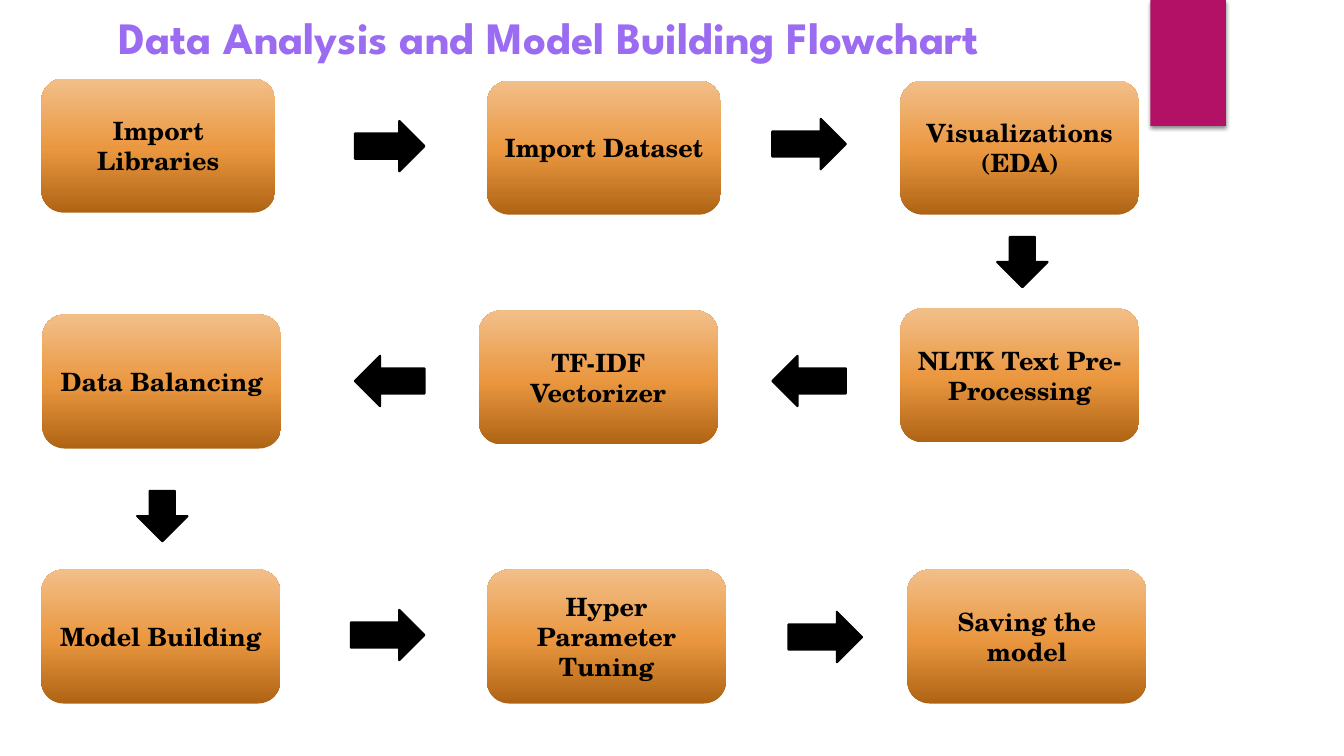
import pptx
import pptx.util
import pptx.dml.color
import pptx.enum.shapes
import pptx.enum.text
import pptx.oxml
import pptx.oxml.ns
import lxml.etree

Inches = pptx.util.Inches
Pt = pptx.util.Pt
RGBColor = pptx.dml.color.RGBColor
Shape = pptx.enum.shapes.MSO_SHAPE
Anchor = pptx.enum.text.MSO_ANCHOR
CENTER = pptx.enum.text.PP_ALIGN.CENTER
qn = pptx.oxml.ns.qn

# Content
TITLE = "Data Analysis and Model Building Flowchart"
WIDE, NARROW = 2.37, 2.32
# Step paragraphs, column, row, shift from the grid (x, y), width
STEPS = [
    (["Import Libraries"], 0, 0, (0, -0.02), NARROW),
    (["Import Dataset"], 1, 0, (0, 0), NARROW),
    (["Visualizations", "(EDA)"], 2, 0, (0, 0), WIDE),
    (["NLTK Text Pre-Processing"], 2, 1, (0, -0.02), WIDE),
    (["TF-IDF Vectorizer"], 1, 1, (-0.08, 0), WIDE),
    (["Data Balancing"], 0, 1, (0.01, 0.04), WIDE),
    (["Model Building"], 0, 2, (0, 0), WIDE),
    (["Hyper Parameter Tuning"], 1, 2, (0, 0), WIDE),
    (["Saving the model"], 2, 2, (0.07, 0), WIDE),
]
# Arrow shape, left, top, length across
ARROWS = [
    (Shape.RIGHT_ARROW, 3.52, 1.2, 0.69),
    (Shape.RIGHT_ARROW, 7.66, 1.18, 0.73),
    (Shape.DOWN_ARROW, 9.89, 2.35, 0.5),
    (Shape.LEFT_ARROW, 7.66, 3.53, 0.73),
    (Shape.LEFT_ARROW, 3.52, 3.53, 0.69),
    (Shape.DOWN_ARROW, 1.36, 4.87, 0.5),
    (Shape.RIGHT_ARROW, 3.48, 6.05, 0.73),
    (Shape.RIGHT_ARROW, 7.82, 6.07, 0.73),
]

# Grid and style
COLUMN_LEFTS = (0.41, 4.83, 8.93)
ROW_TOPS = (0.8, 3.08, 5.65)
STEP_HEIGHT = 1.33
ARROW_HEIGHT = 0.5
BLACK = RGBColor(0x00, 0x00, 0x00)
MAGENTA = RGBColor(0xB3, 0x11, 0x66)
ORANGES = [(0, RGBColor(0xAF, 0x64, 0x14)), (48, RGBColor(0xEA, 0x97, 0x40)),
           (100, RGBColor(0xF2, 0xBF, 0x89))]
PURPLES = [(0, RGBColor(0x42, 0x0E, 0xA0)), (50, RGBColor(0x9B, 0x6B, 0xF2)),
           (100, RGBColor(0xC3, 0xA6, 0xF7))]
UPWARD, DOWNWARD = 90, 270
SHADOW = (
    f'<a:outerShdw {pptx.oxml.ns.nsdecls("a")} blurRad="{Pt(3)}" dist="{Pt(2)}" '
    'dir="5400000" rotWithShape="0"><a:srgbClr val="000000">'
    '<a:alpha val="45000"/></a:srgbClr></a:outerShdw>'
)


def apply_gradient(fill, element, stops, angle):
    fill.gradient()
    fill.gradient_angle = angle
    stop_list = element.find(".//" + qn("a:gsLst"))
    for stop in list(stop_list):
        stop_list.remove(stop)
    for percent, color in stops:
        stop = lxml.etree.SubElement(stop_list, qn("a:gs"), pos=str(percent * 1000))
        lxml.etree.SubElement(stop, qn("a:srgbClr"), val=str(color))


def add_shape(slide, kind, left, top, width, height):
    shape = slide.shapes.add_shape(
        kind, Inches(left), Inches(top), Inches(width), Inches(height))
    shape.shadow.inherit = False
    shape.line.fill.background()
    return shape


def add_ribbon(slide):
    ribbon = add_shape(slide, Shape.RECTANGLE, 11.41, 0, 0.75, 1.25)
    ribbon.fill.solid()
    ribbon.fill.fore_color.rgb = MAGENTA
    effects = ribbon._element.spPr.find(qn("a:effectLst"))
    effects.append(pptx.oxml.parse_xml(SHADOW))


def add_title(slide):
    box = slide.shapes.add_textbox(Inches(0), Inches(0.05), Inches(10.9), Inches(0.94))
    frame = box.text_frame
    frame.word_wrap = True
    frame.auto_size = pptx.enum.text.MSO_AUTO_SIZE.SHAPE_TO_FIT_TEXT
    paragraph = frame.paragraphs[0]
    paragraph.alignment = CENTER
    run = paragraph.add_run()
    run.text = TITLE
    run.font.name = "League Spartan"
    run.font.size = Pt(32)
    run.font.bold = True
    apply_gradient(run.font.fill, box._element, PURPLES, DOWNWARD)


def add_step(slide, lines, column, row, shift, width):
    step = add_shape(slide, Shape.FLOWCHART_ALTERNATE_PROCESS,
                     COLUMN_LEFTS[column] + shift[0], ROW_TOPS[row] + shift[1],
                     width, STEP_HEIGHT)
    apply_gradient(step.fill, step._element, ORANGES, UPWARD)
    frame = step.text_frame
    frame.word_wrap = True
    frame.vertical_anchor = Anchor.MIDDLE
    frame.text = "\n".join(lines)
    for paragraph in frame.paragraphs:
        paragraph.alignment = CENTER
        paragraph.font.name = "TeX Gyre Schola"
        paragraph.font.size = Pt(18)
        paragraph.font.bold = True
        paragraph.font.color.rgb = BLACK


def add_arrow(slide, kind, left, top, width):
    arrow = add_shape(slide, kind, left, top, width, ARROW_HEIGHT)
    arrow.fill.solid()
    arrow.fill.fore_color.rgb = BLACK
    arrow.line.color.rgb = BLACK
    arrow.line.width = Pt(1.5)


def main():
    presentation = pptx.Presentation()
    presentation.slide_width = Inches(13.33)
    presentation.slide_height = Inches(7.5)
    slide = presentation.slides.add_slide(presentation.slide_layouts[6])
    add_ribbon(slide)
    add_title(slide)
    for step in STEPS:
        add_step(slide, *step)
    for arrow in ARROWS:
        add_arrow(slide, *arrow)
    presentation.save("out.pptx")


if __name__ == "__main__":
    main()
